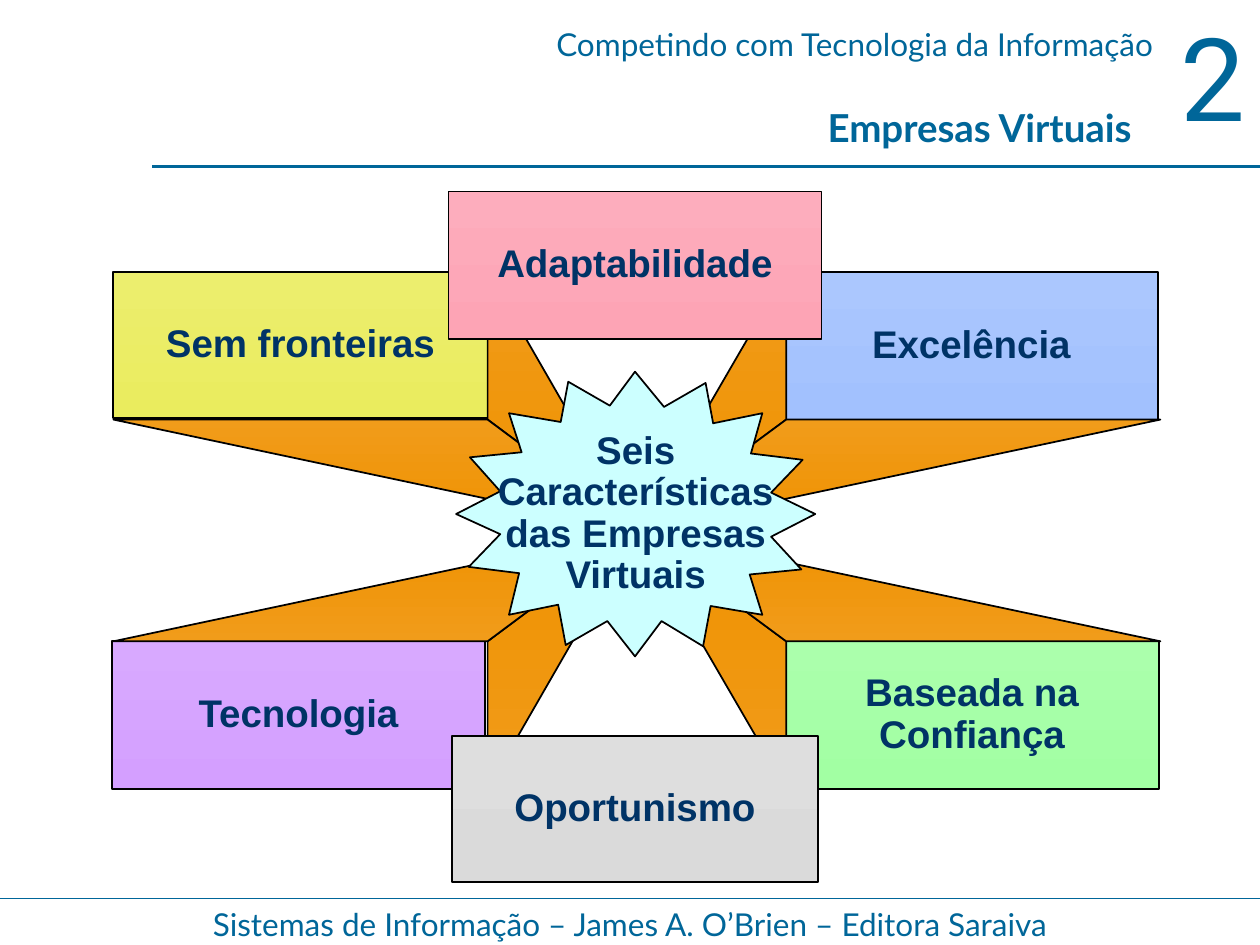
from pptx import Presentation
from pptx.dml.color import RGBColor
from pptx.enum.shapes import MSO_CONNECTOR, MSO_SHAPE
from pptx.enum.text import MSO_ANCHOR, PP_ALIGN
from pptx.oxml.ns import qn
from pptx.util import Inches, Pt
from lxml import etree

STRAIGHT = MSO_CONNECTOR.STRAIGHT
RECTANGLE = MSO_SHAPE.RECTANGLE
MIDDLE = MSO_ANCHOR.MIDDLE
LEFT, CENTER, RIGHT = PP_ALIGN.LEFT, PP_ALIGN.CENTER, PP_ALIGN.RIGHT

TEAL = RGBColor(0x00, 0x66, 0x99)
NAVY = RGBColor(0x00, 0x33, 0x66)
BLACK = RGBColor(0x00, 0x00, 0x00)
CYAN = RGBColor(0xCC, 0xFF, 0xFF)
ORANGE = (RGBColor(0xF1, 0x9C, 0x1A), RGBColor(0xEF, 0x91, 0x00))
YELLOW = (RGBColor(0xEC, 0xEE, 0x6E), RGBColor(0xEA, 0xEC, 0x5E))
PURPLE = (RGBColor(0xD8, 0xA9, 0xFF), RGBColor(0xD4, 0x9F, 0xFF))
BLUE = (RGBColor(0xAB, 0xC7, 0xFE), RGBColor(0xA2, 0xC1, 0xFE))
GREEN = (RGBColor(0xAB, 0xFF, 0xAC), RGBColor(0xA2, 0xFF, 0xA3))
PINK = (RGBColor(0xFD, 0xAD, 0xBD), RGBColor(0xFD, 0xA4, 0xB5))
GRAY = (RGBColor(0xDE, 0xDE, 0xDE), RGBColor(0xDA, 0xDA, 0xDA))

HUB = (5.05, 4.21)
CORNER_BOXES = [
    (["Sem fronteiras"], (0.9, 2.16, 2.97, 1.16), YELLOW),
    (["Tecnologia"], (0.89, 5.09, 2.96, 1.17), PURPLE),
    (["Excelência"], (6.23, 2.16, 2.96, 1.17), BLUE),
    (["Baseada na", "Confiança"], (6.23, 5.09, 2.97, 1.17), GREEN),
]
MIDDLE_BOXES = [
    (["Adaptabilidade"], (3.56, 1.52, 2.96, 1.17), PINK),
    (["Oportunismo"], (3.59, 5.84, 2.9, 1.16), GRAY),
]
BURST = [
    (3.62, 4.08), (3.97, 4.24), (3.72, 4.5), (4.12, 4.55),
    (4.04, 4.88), (4.43, 4.8), (4.49, 5.12), (4.82, 4.93),
    (5.04, 5.21), (5.25, 4.93), (5.58, 5.13), (5.64, 4.81),
    (6.05, 4.88), (5.95, 4.56), (6.36, 4.52), (6.12, 4.26),
    (6.47, 4.08), (6.12, 3.91), (6.37, 3.65), (5.96, 3.6),
    (6.05, 3.28), (5.66, 3.36), (5.6, 3.04), (5.27, 3.23),
    (5.04, 2.95), (4.84, 3.22), (4.51, 3.03), (4.45, 3.35),
    (4.04, 3.28), (4.14, 3.59), (3.73, 3.63), (3.97, 3.9),
]


def add_run(paragraph, text, font, size, color, bold=False):
    run = paragraph.add_run()
    run.text = text
    run.font.name = font
    run.font.size = Pt(size)
    run.font.color.rgb = color
    run.font.bold = bold


def add_heading(slide, text, bounds, size, align, font="Lato", bold=False):
    box = slide.shapes.add_textbox(*map(Inches, bounds))
    box.text_frame.word_wrap = True
    paragraph = box.text_frame.paragraphs[0]
    paragraph.alignment = align
    add_run(paragraph, text, font, size, TEAL, bold)


def add_rule(slide, left, right, y, width):
    rule = slide.shapes.add_connector(
        STRAIGHT, Inches(left), Inches(y), Inches(right), Inches(y))
    rule.line.color.rgb = TEAL
    rule.line.width = Pt(width)
    etree.SubElement(rule._element.spPr, qn("a:effectLst"))


def outline(shape):
    shape.shadow.inherit = False
    shape.line.color.rgb = BLACK
    shape.line.width = Pt(1)


def fill_gradient(shape, colors):
    shape.fill.gradient()
    shape.fill.gradient_angle = 270
    for stop, position, color in zip(shape.fill.gradient_stops, (0, 1), colors):
        stop.position = position
        stop.color.rgb = color


def add_label(shape, lines):
    frame = shape.text_frame
    frame.word_wrap = False
    frame.vertical_anchor = MIDDLE
    frame.margin_left = frame.margin_right = Inches(0.09)
    frame.margin_top = frame.margin_bottom = Inches(0.05)
    for index, line in enumerate(lines):
        paragraph = frame.add_paragraph() if index else frame.paragraphs[0]
        paragraph.alignment = CENTER
        paragraph.line_spacing = 0.9
        add_run(paragraph, line, "Arial", 22, NAVY, True)


def add_box(slide, lines, bounds, colors):
    box = slide.shapes.add_shape(RECTANGLE, *map(Inches, bounds))
    outline(box)
    fill_gradient(box, colors)
    add_label(box, lines)


def add_polygon(slide, points):
    start, *others = [(Inches(x), Inches(y)) for x, y in points]
    builder = slide.shapes.build_freeform(*start)
    builder.add_line_segments(others, close=True)
    polygon = builder.convert_to_shape()
    outline(polygon)
    return polygon


def add_rays(slide):
    for far_y, rim_y, colors in ((2.16, 3.33, ORANGE), (6.26, 5.09, ORANGE[::-1])):
        for outer_x, inner_x in ((0.9, 3.87), (9.21, 6.24)):
            rim = (inner_x, rim_y)
            for tip in ((inner_x, far_y), (outer_x, rim_y)):
                fill_gradient(add_polygon(slide, [tip, rim, HUB]), colors)


def add_burst(slide):
    burst = add_polygon(slide, BURST)
    burst.fill.solid()
    burst.fill.fore_color.rgb = CYAN
    add_label(burst, ["Seis", "Características", "das Empresas", "Virtuais"])


def main():
    prs = Presentation()
    prs.slide_width, prs.slide_height = Inches(10), Inches(7.5)
    slide = prs.slides.add_slide(prs.slide_layouts[6])

    add_rule(slide, 1.21, 10, 1.32, 1.5)
    add_heading(slide, "2", (9.27, 0, 1.65, 1.2), 66, LEFT, "Roboto")
    add_heading(slide, "Competindo com Tecnologia da Informação",
                (2.6, 0.15, 6.65, 0.4), 18, RIGHT)
    add_heading(slide, "Sistemas de Informação – James A. O’Brien – Editora Saraiva",
                (0, 7.13, 10, 0.4), 18, CENTER)
    add_rule(slide, 0, 10, 7.13, 1)
    add_heading(slide, "Empresas Virtuais", (1.36, 0.78, 7.72, 0.47), 22, RIGHT,
                bold=True)

    for box in CORNER_BOXES:
        add_box(slide, *box)
    add_rays(slide)
    for box in MIDDLE_BOXES:
        add_box(slide, *box)
    add_burst(slide)
    prs.save("out.pptx")


if __name__ == "__main__":
    main()
